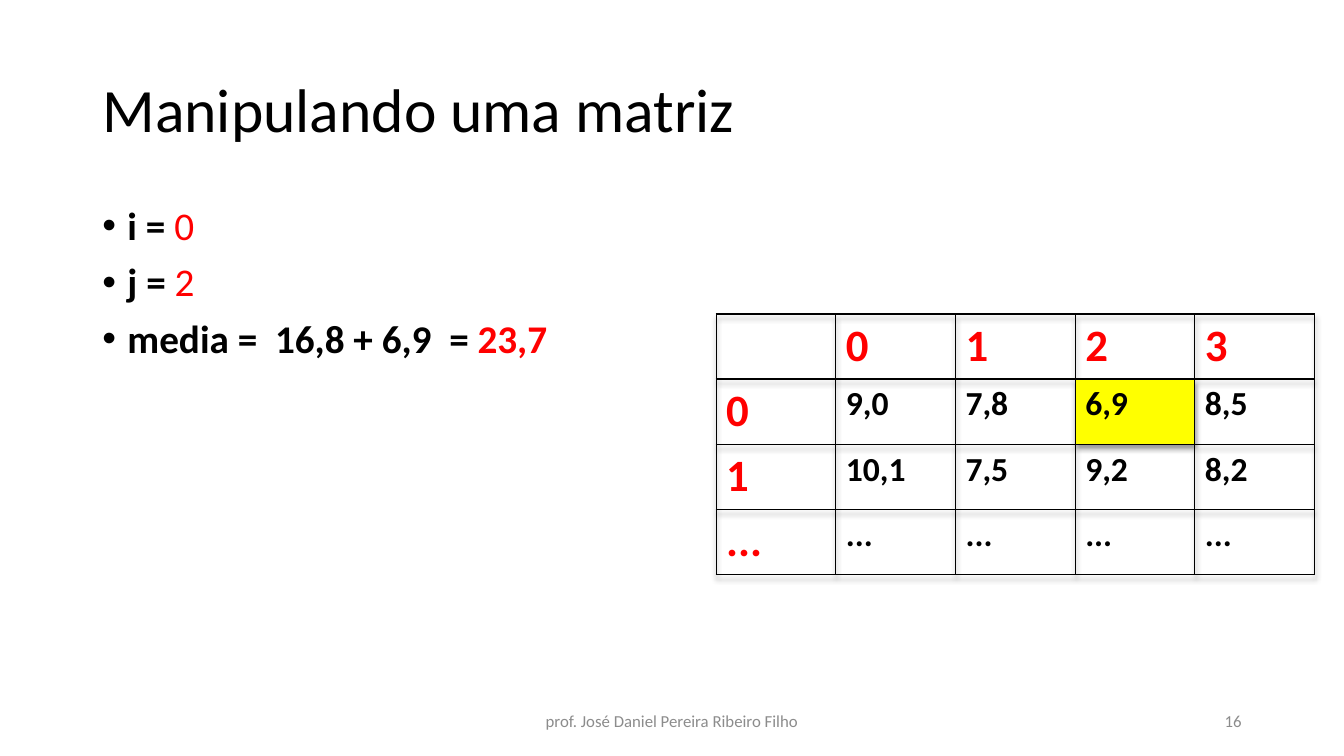
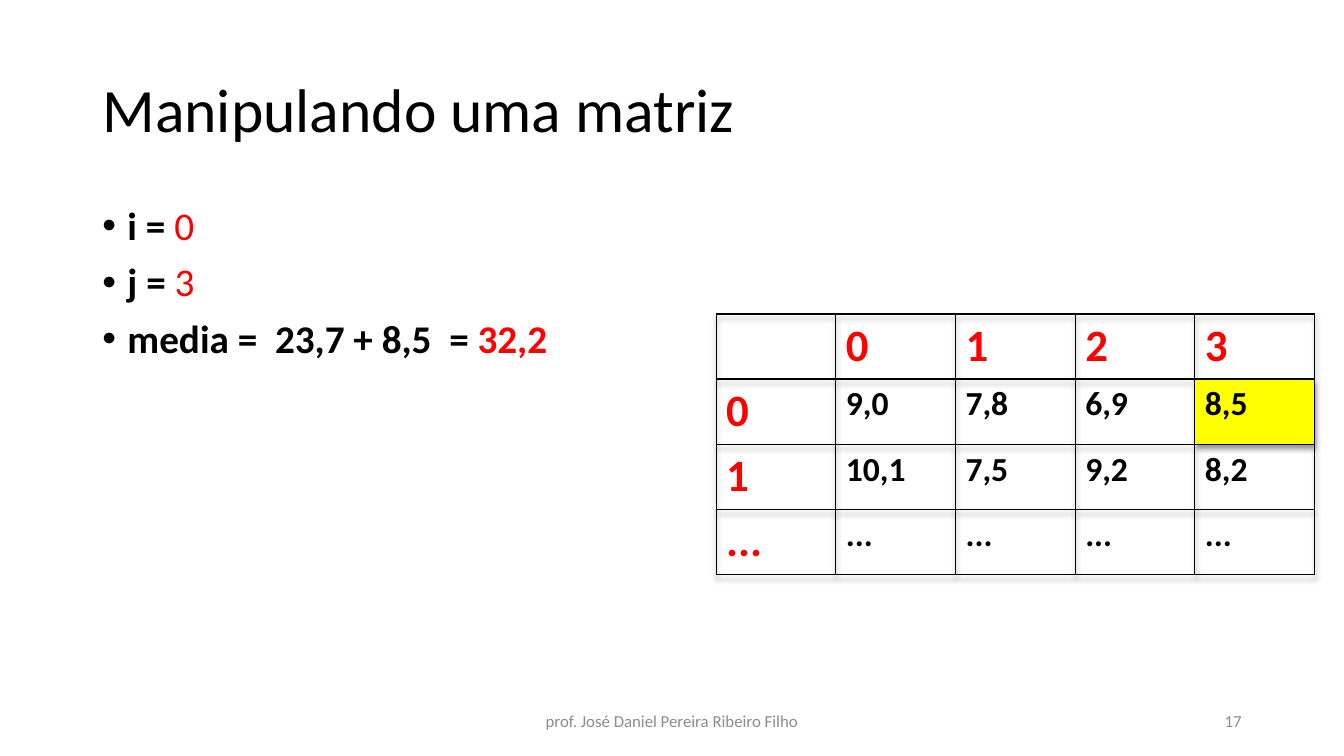
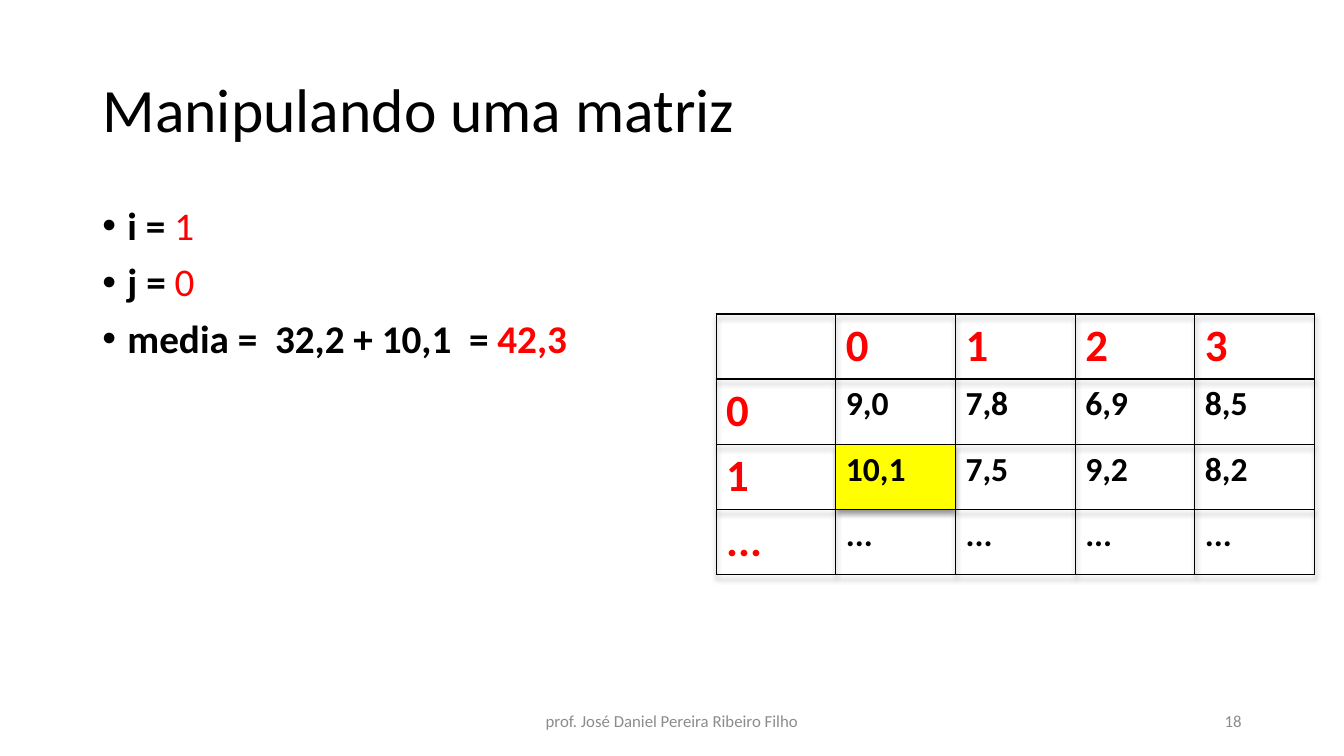
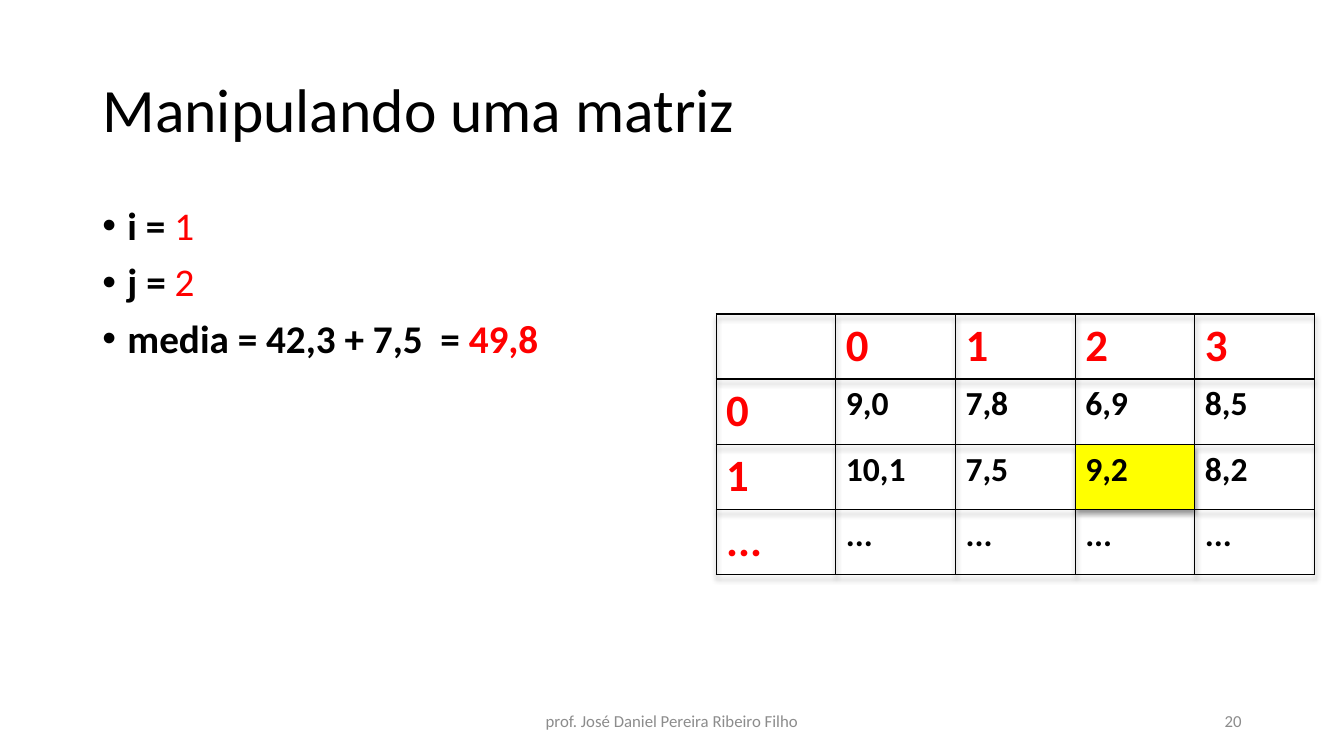
from lxml.etree import SubElement
from pptx import Presentation
from pptx.dml.color import RGBColor
from pptx.enum.text import MSO_ANCHOR, PP_ALIGN
from pptx.oxml import parse_xml
from pptx.oxml.ns import qn
from pptx.util import Emu, Pt

PX = 9525  # EMU per px, at 96 px to the inch
FONT = "Calibri"
BLACK = RGBColor(0x00, 0x00, 0x00)
RED = RGBColor(0xFF, 0x00, 0x00)
YELLOW = RGBColor(0xFF, 0xFF, 0x00)
GRAY = RGBColor(0x8C, 0x8C, 0x8C)

TITLE = "Manipulando uma matriz"
AUTHOR = "prof. José Daniel Pereira Ribeiro Filho"
GRID = [
    ["", "0", "1", "2", "3"],
    ["0", "9,0", "7,8", "6,9", "8,5"],
    ["1", "10,1", "7,5", "9,2", "8,2"],
    ["...", "...", "...", "...", "..."],
]
COL, ROW = 114, 62
SHADOW = (
    '<a:effectLst xmlns:a="http://schemas.openxmlformats.org/drawingml/2006/main">'
    '<a:outerShdw blurRad="50800" dist="38100" dir="5400000" algn="t" rotWithShape="0">'
    '<a:srgbClr val="000000"><a:alpha val="40000"/></a:srgbClr>'
    '</a:outerShdw></a:effectLst>'
)

# page number, i, j, sum as typed, new total
STEPS = [
    (16, 0, 2, "media =  16,8 + 6,9  = ", "23,7"),
    (17, 0, 3, "media =  23,7 + 8,5  = ", "32,2"),
    (18, 1, 0, "media =  32,2 + 10,1  = ", "42,3"),
    (20, 1, 2, "media = 42,3 + 7,5  = ", "49,8"),
]


def px(*nums):
    return [Emu(n * PX) for n in nums]


def style(font, size, color, bold=False):
    font.name = FONT
    font.size = Pt(size)
    font.bold = bold
    font.color.rgb = color


def add_title(slide):
    title = slide.shapes.title
    title.left, title.top, title.width, title.height = px(88, 38, 1104, 139)
    frame = title.text_frame
    frame.text = TITLE
    frame.vertical_anchor = MSO_ANCHOR.MIDDLE
    para = frame.paragraphs[0]
    para.alignment = PP_ALIGN.LEFT
    para.line_spacing = 0.9
    style(para.font, 44, BLACK)


def add_bullets(slide, items):
    """Each item is a bold label, a red value and whether the value is bold."""
    frame = slide.shapes.add_textbox(*px(88, 192, 1104, 457)).text_frame
    frame.word_wrap = True
    for n, (label, value, bold) in enumerate(items):
        para = frame.paragraphs[0] if n == 0 else frame.add_paragraph()
        props = para._p.get_or_add_pPr()
        props.set("marL", str(24 * PX))
        props.set("indent", str(-24 * PX))
        SubElement(props, qn("a:buFont")).set("typeface", "Arial")
        SubElement(props, qn("a:buChar")).set("char", "•")
        para.line_spacing = 0.9
        para.space_before = Pt(10 if n else 0)
        for text, color, heavy in ((label, BLACK, True), (value, RED, bold)):
            run = para.add_run()
            run.text = text
            style(run.font, 28, color, heavy)


def add_note(slide, text, left, width, align):
    frame = slide.shapes.add_textbox(*px(left, 667, width, 38)).text_frame
    frame.word_wrap = True
    frame.vertical_anchor = MSO_ANCHOR.MIDDLE
    frame.text = text
    para = frame.paragraphs[0]
    para.alignment = align
    style(para.font, 12, GRAY)


def add_border(cell):
    props = cell._tc.get_or_add_tcPr()
    for n, side in enumerate(("a:lnL", "a:lnR", "a:lnT", "a:lnB")):
        line = props.makeelement(qn(side), {"w": str(Pt(1))})
        fill = SubElement(line, qn("a:solidFill"))
        SubElement(fill, qn("a:srgbClr")).set("val", str(BLACK))
        props.insert(n, line)


def add_grid(slide, mark):
    """Draw the matrix with its indices; mark is the (row, column) to light up."""
    rows, cols = len(GRID), len(GRID[0])
    box = px(682, 299, cols * COL, rows * ROW)
    table = slide.shapes.add_table(rows, cols, *box).table
    table.first_row = table.horz_banding = False
    table._tbl.tblPr.insert(0, parse_xml(SHADOW))
    for col in table.columns:
        col.width = Emu(COL * PX)
    for r, texts in enumerate(GRID):
        table.rows[r].height = Emu(ROW * PX)
        for c, text in enumerate(texts):
            cell = table.cell(r, c)
            if (r, c) == mark:
                cell.fill.solid()
                cell.fill.fore_color.rgb = YELLOW
            else:
                cell.fill.background()
            add_border(cell)
            if text:
                cell.text = text
                head = r == 0 or c == 0
                size, color = (32, RED) if head else (24, BLACK)
                style(cell.text_frame.paragraphs[0].font, size, color, True)


def main():
    deck = Presentation()
    deck.slide_width, deck.slide_height = px(1280, 720)
    for page, i, j, label, total in STEPS:
        slide = deck.slides.add_slide(deck.slide_layouts[5])
        add_title(slide)
        add_bullets(slide, [
            ("i = ", str(i), False),
            ("j = ", str(j), False),
            (label, total, True),
        ])
        add_note(slide, AUTHOR, 424, 432, PP_ALIGN.CENTER)
        add_note(slide, str(page), 904, 288, PP_ALIGN.RIGHT)
        add_grid(slide, (i + 1, j + 1))
    deck.save("out.pptx")


if __name__ == "__main__":
    main()
